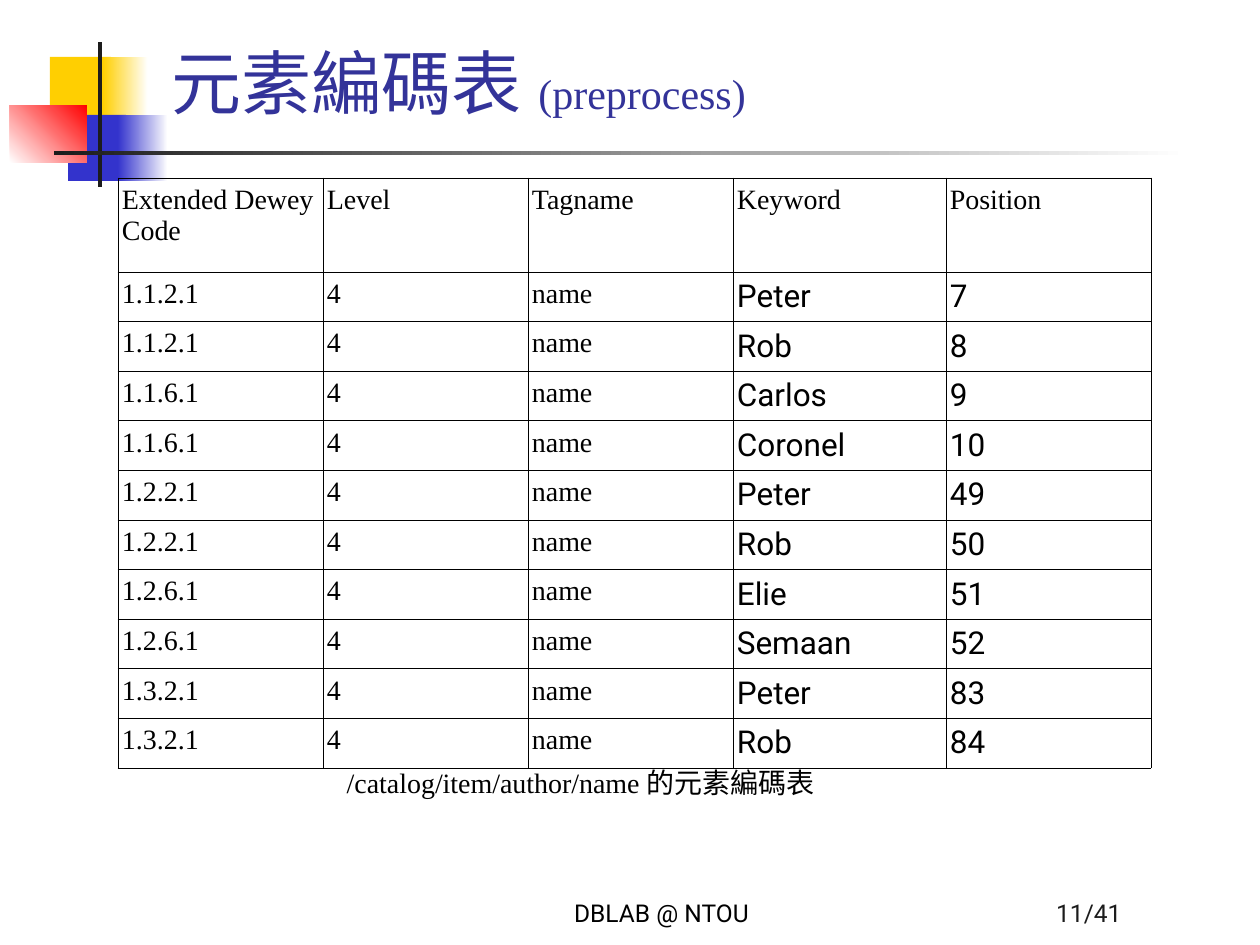
from pptx import Presentation
from pptx.dml.color import RGBColor as RGB
from pptx.enum.shapes import MSO_SHAPE as SHAPE
from pptx.enum.text import MSO_ANCHOR as ANC, PP_ALIGN as AL
from pptx.oxml import parse_xml
from pptx.oxml.ns import nsdecls
from pptx.util import Emu, Pt

PX = 914400 / 126
GOLD = RGB(0xFF, 0xCF, 0x01)
BLUE = RGB(0x33, 0x33, 0xCC)
RED = RGB(0xFF, 0x00, 0x00)
DARK = RGB(0x1C, 0x1C, 0x1C)
NAVY = RGB(0x33, 0x33, 0x99)
WHITE = RGB(0xFF, 0xFF, 0xFF)
BLACK = RGB(0x00, 0x00, 0x00)
SERIF, SANS, CJK = "Times New Roman", "Roboto", "Noto Sans CJK SC"


def px(*vals):
    return [Emu(round(v * PX)) for v in vals]


def add_run(para, text, face, size, color):
    run = para.add_run()
    run.text = text
    for key, val in {"name": face, "size": Pt(size)}.items():
        setattr(run.font, key, val)
    run.font.color.rgb = color
    # East Asian letters take the same face
    run.font._element.append(
        parse_xml(f'<a:ea {nsdecls("a")} typeface="{face}"/>'))


prs = Presentation()
prs.slide_width, prs.slide_height = px(1260, 945)
slide = prs.slides.add_slide(prs.slide_layouts[6])

# Corner ornament and rules: box, start colour, end colour, angle
blocks = [
    ((50, 57, 61, 66), GOLD, None, 0),
    ((103, 57, 45, 66), GOLD, WHITE, 0),
    ((68, 115, 58, 66), BLUE, None, 0),
    ((118, 115, 50, 66), BLUE, WHITE, 0),
    ((10, 105, 77, 58), WHITE, RED, 45),
    ((98, 42, 4, 145), DARK, None, 0),
    ((54, 151, 1134, 4), DARK, WHITE, 0),
]
for box, start, end, angle in blocks:
    block = slide.shapes.add_shape(SHAPE.RECTANGLE, *px(*box))
    block.shadow.inherit = False
    block.line.fill.background()
    if end is None:
        block.fill.solid()
        block.fill.fore_color.rgb = start
    else:
        block.fill.gradient()
        block.fill.gradient_angle = angle
        for stop, color in zip(block.fill.gradient_stops, (start, end)):
            stop.color.rgb = color

# Code table
codes = ["1.1.2.1", "1.1.6.1", "1.2.2.1", "1.2.6.1", "1.3.2.1"]
words = ["Peter", "Rob", "Carlos", "Coronel", "Peter",
         "Rob", "Elie", "Semaan", "Peter", "Rob"]
spots = [7, 8, 9, 10, 49, 50, 51, 52, 83, 84]
rows = [["Extended Dewey Code", "Level", "Tagname", "Keyword", "Position"]]
for i, (word, spot) in enumerate(zip(words, spots)):
    rows.append([codes[i // 2], "4", "name", word, str(spot)])

wide = [205, 205, 205, 213, 205]
high = [94] + [47] * 10
table = slide.shapes.add_table(
    len(rows), len(wide), *px(118, 178, sum(wide), sum(high))).table
table.first_row = table.horz_banding = False
for col, width in zip(table.columns, px(*wide)):
    col.width = width
for row, height in zip(table.rows, px(*high)):
    row.height = height

for r, texts in enumerate(rows):
    for c, text in enumerate(texts):
        cell = table.cell(r, c)
        cell.margin_left, cell.margin_right = px(4, 4)
        face, size = (SANS, 18) if r > 0 and c > 2 else (SERIF, 16)
        add_run(cell.text_frame.paragraphs[0], text, face, size, BLACK)
        props = cell._tc.get_or_add_tcPr()
        for side in ("lnL", "lnR", "lnT", "lnB"):
            props.append(parse_xml(
                f'<a:{side} {nsdecls("a")} w="{Pt(0.45)}"><a:solidFill>'
                f'<a:srgbClr val="{BLACK}"/></a:solidFill></a:{side}>'))
        cell.fill.background()

# Title, footer, caption and page number
labels = [
    ((159, 21, 1074, 109), ANC.BOTTOM, AL.LEFT,
     [("元素編碼表 ", SANS, 40, NAVY), ("(preprocess)", SERIF, 24, NAVY)]),
    ((462, 871, 399, 63), ANC.BOTTOM, AL.CENTER,
     [("DBLAB @ NTOU", SANS, 14, BLACK)]),
    ((295, 759, 571, 47), ANC.MIDDLE, AL.CENTER,
     [("/catalog/item/author/name ", SERIF, 16, BLACK),
      ("的元素編碼表", CJK, 16, BLACK)]),
    ((872, 871, 262, 63), ANC.BOTTOM, AL.RIGHT,
     [("11/41", SANS, 14, DARK)]),
]
for box, anchor, align, runs in labels:
    frame = slide.shapes.add_textbox(*px(*box)).text_frame
    for key, val in {"word_wrap": True, "vertical_anchor": anchor}.items():
        setattr(frame, key, val)
    para = frame.paragraphs[0]
    para.alignment = align
    for run in runs:
        add_run(para, *run)

prs.save("out.pptx")
